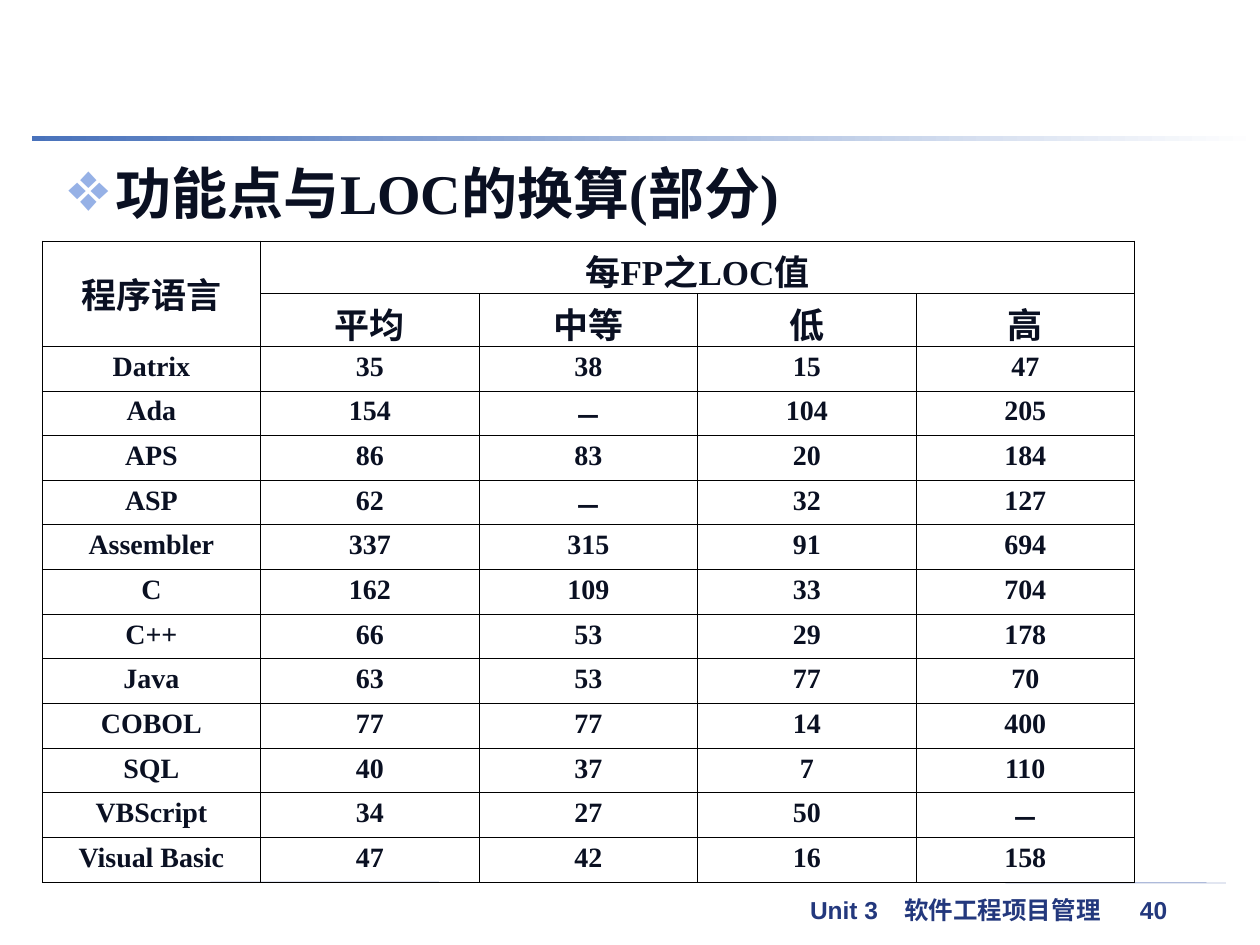
from lxml.etree import SubElement
from pptx import Presentation
from pptx.dml.color import RGBColor
from pptx.enum.shapes import MSO_CONNECTOR, MSO_SHAPE
from pptx.enum.text import MSO_ANCHOR, MSO_AUTO_SIZE, PP_ALIGN
from pptx.oxml.ns import qn
from pptx.util import Cm, Pt

INK = RGBColor(0x0A, 0x10, 0x22)
BULLET = RGBColor(0x96, 0xB1, 0xE6)
BAND = RGBColor(0x49, 0x72, 0xBB)
FOOTER_TEXT = RGBColor(0x23, 0x38, 0x7D)
FOOTER_LINE = RGBColor(0x1A, 0x3D, 0x97)
BLACK = RGBColor(0, 0, 0)
WHITE = RGBColor(0xFF, 0xFF, 0xFF)

LEVELS = ["平均", "中等", "低", "高"]
LOC_PER_FP = [
    ("Datrix", "35", "38", "15", "47"),
    ("Ada", "154", "－", "104", "205"),
    ("APS", "86", "83", "20", "184"),
    ("ASP", "62", "－", "32", "127"),
    ("Assembler", "337", "315", "91", "694"),
    ("C", "162", "109", "33", "704"),
    ("C++", "66", "53", "29", "178"),
    ("Java", "63", "53", "77", "70"),
    ("COBOL", "77", "77", "14", "400"),
    ("SQL", "40", "37", "7", "110"),
    ("VBScript", "34", "27", "50", "－"),
    ("Visual Basic", "47", "42", "16", "158"),
]


def set_font(paragraph, size, color, name="Times New Roman"):
    font = paragraph.font
    font.name, font.size, font.bold = name, Pt(size), True
    font.color.rgb = color


def add_band(slide, left, top, width, height):
    """Gradient rule at the top of the slide."""
    band = slide.shapes.add_shape(MSO_SHAPE.RECTANGLE, left, top, width, height)
    band.shadow.inherit = False
    band.line.fill.background()
    band.fill.gradient()
    band.fill.gradient_angle = 0
    for stop, color in zip(band.fill.gradient_stops, (BAND, WHITE)):
        stop.color.rgb = color


def place_title(slide, left, top, width, height):
    """Bulleted heading in the title placeholder."""
    title = slide.shapes.title
    title.left, title.top, title.width, title.height = left, top, width, height
    frame = title.text_frame
    frame.text = "功能点与LOC的换算(部分)"
    frame.vertical_anchor = MSO_ANCHOR.TOP
    frame.auto_size = MSO_AUTO_SIZE.NONE
    paragraph = frame.paragraphs[0]
    paragraph.alignment = PP_ALIGN.LEFT
    paragraph.line_spacing = 0.95
    paragraph.space_before = Pt(0)
    properties = paragraph._p.get_or_add_pPr()
    properties.set("marL", str(Cm(0.95)))
    properties.set("indent", str(-Cm(0.95)))
    bullet_color = SubElement(properties, qn("a:buClr"))
    SubElement(bullet_color, qn("a:srgbClr"), val=str(BULLET))
    SubElement(properties, qn("a:buSzPct"), val="125000")
    SubElement(properties, qn("a:buChar"), char="❖")
    set_font(paragraph, 32, INK)


def add_borders(cell):
    properties = cell._tc.get_or_add_tcPr()
    for position, side in enumerate(("lnL", "lnR", "lnT", "lnB")):
        line = properties.makeelement(qn(f"a:{side}"), {"w": str(Pt(0.45))})
        fill = SubElement(line, qn("a:solidFill"))
        SubElement(fill, qn("a:srgbClr"), val=str(BLACK))
        properties.insert(position, line)


def add_loc_table(slide, left, top, width, header_height, row_height):
    """Lines of code per function point, under a two-row header."""
    rows = [("程序语言", "每FP之LOC值", "", "", ""), ("", *LEVELS), *LOC_PER_FP]
    row_count, column_count = len(rows), len(rows[0])
    height = 2 * header_height + len(LOC_PER_FP) * row_height
    table = slide.shapes.add_table(
        row_count, column_count, left, top, width, height).table
    table.first_row = table.horz_banding = False
    for column in table.columns:
        column.width = width // column_count
    for index, values in enumerate(rows):
        is_header = index < 2
        table.rows[index].height = header_height if is_header else row_height
        for cell, value in zip(table.rows[index].cells, values):
            cell.fill.background()
            add_borders(cell)
            cell.vertical_anchor = MSO_ANCHOR.MIDDLE if is_header else MSO_ANCHOR.TOP
            cell.text = value
            paragraph = cell.text_frame.paragraphs[0]
            paragraph.alignment = PP_ALIGN.CENTER
            paragraph.line_spacing = 0.95
            set_font(paragraph, 20 if is_header else 16, INK)
    table.cell(0, 0).merge(table.cell(1, 0))
    table.cell(0, 1).merge(table.cell(0, column_count - 1))


def add_footer(slide, left, top, width, height):
    """Rule with the unit name and page number below its right end."""
    rule = slide.shapes.add_connector(
        MSO_CONNECTOR.STRAIGHT, left, top, left + width, top + Cm(0.02))
    rule.line.color.rgb = FOOTER_LINE
    rule.line.width = Pt(0.25)
    SubElement(rule._element.spPr, qn("a:effectLst"))

    box = slide.shapes.add_textbox(
        left + Cm(11.84), top + Cm(0.13), Cm(8.89), height)
    box.text_frame.word_wrap = True
    paragraph = box.text_frame.paragraphs[0]
    paragraph.text = "Unit 3\t软件工程项目管理\t40"
    tabs = SubElement(paragraph._p.get_or_add_pPr(), qn("a:tabLst"))
    for position in (1.9, 6.65):
        SubElement(tabs, qn("a:tab"), pos=str(Cm(position)), algn="l")
    set_font(paragraph, 14, FOOTER_TEXT, "Arial")


def main():
    presentation = Presentation()
    presentation.slide_width, presentation.slide_height = Cm(25.4), Cm(19.05)
    slide = presentation.slides.add_slide(presentation.slide_layouts[5])
    add_footer(slide, Cm(4.24), Cm(17.78), Cm(20.47), Cm(0.86))
    add_band(slide, Cm(0.64), Cm(2.74), Cm(24.76), Cm(0.1))
    add_loc_table(slide, Cm(0.85), Cm(4.86), Cm(22.02), Cm(1.06), Cm(0.9))
    place_title(slide, Cm(1.13), Cm(3.17), Cm(23.7), Cm(1.65))
    presentation.save("out.pptx")


if __name__ == "__main__":
    main()
